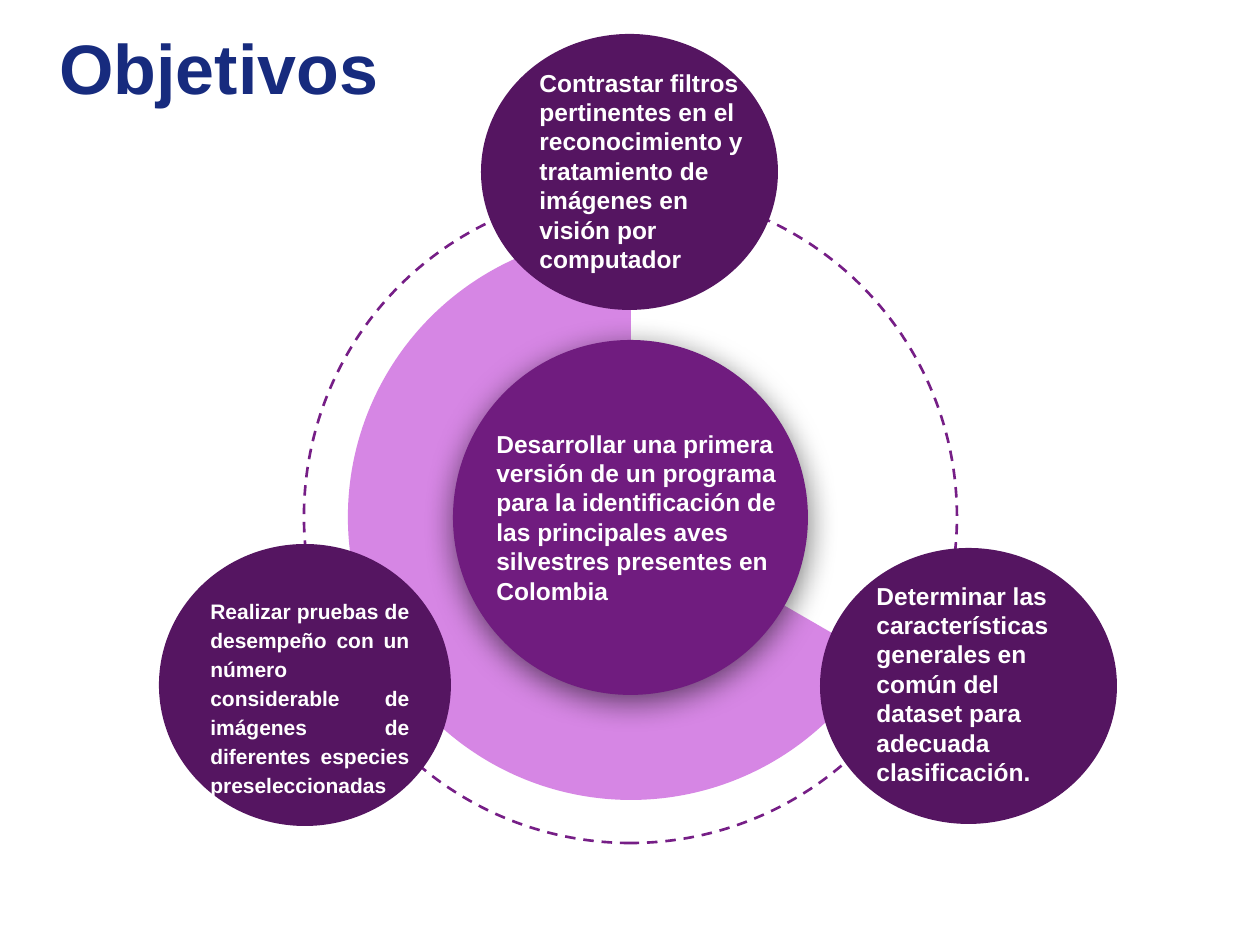
from lxml.etree import SubElement
from pptx import Presentation
from pptx.dml.color import RGBColor
from pptx.enum.dml import MSO_LINE
from pptx.enum.shapes import MSO_SHAPE
from pptx.enum.text import MSO_ANCHOR, PP_ALIGN
from pptx.oxml.ns import qn
from pptx.util import Emu, Pt

SCALE = 914400 / 126
COLORS = {
    "title": "172B7E",
    "ring": "761E86",
    "pie": "D686E4",
    "core": "701C7F",
    "goal": "551561",
    "text": "FFFFFF",
    "shade": "000000",
}
GOALS = [
    ((481, 34, 297, 276), (527, 55, 233, 233), {},
     "Contrastar filtros pertinentes en el reconocimiento y "
     "tratamiento de imágenes en visión por computador"),
    ((159, 544, 292, 282), (198, 577, 224, 238),
     {"size": 12, "anchor": MSO_ANCHOR.MIDDLE,
      "para": {"alignment": PP_ALIGN.JUSTIFY, "line_spacing": 1.15}},
     "Realizar pruebas de desempeño con un número considerable de "
     "imágenes de diferentes especies preseleccionadas"),
    ((820, 548, 297, 276), (864, 568, 233, 233), {},
     "Determinar las características generales en común del dataset "
     "para adecuada clasificación."),
]


def px(n):
    return Emu(round(n * SCALE))


def color(name):
    return RGBColor.from_string(COLORS[name])


def style(item, values):
    for name, value in values.items():
        setattr(item, name, value)


def add_form(slide, kind, box, fill=None):
    form = slide.shapes.add_shape(kind, *map(px, box))
    form.shadow.inherit = False
    form.line.fill.background()
    if fill:
        form.fill.solid()
        form.fill.fore_color.rgb = color(fill)
    else:
        form.fill.background()
    return form


def add_ring(slide, box):
    ring = add_form(slide, MSO_SHAPE.OVAL, box)
    ring.rotation = 270
    ring.line.color.rgb = color("ring")
    style(ring.line, {"width": Pt(1.5), "dash_style": MSO_LINE.DASH})


def add_pie(slide, box, start, end):
    """Draw a sector between two angles in degrees, clockwise from the right."""
    pie = add_form(slide, MSO_SHAPE.PIE, box, "pie")
    for i, angle in enumerate((start, end)):
        pie.adjustments[i] = angle * 0.6


def add_shade(form):
    """Put a soft shadow below a shape."""
    effects = form._element.spPr.find(qn("a:effectLst"))
    shade = SubElement(effects, qn("a:outerShdw"), blurRad=str(Pt(18)),
                       dist=str(Pt(4)), dir="5400000", algn="ctr",
                       rotWithShape="0")
    tint = SubElement(shade, qn("a:srgbClr"), val=COLORS["shade"])
    SubElement(tint, qn("a:alpha"), val="55000")


def add_text(slide, box, text, size=14, ink="text", anchor=MSO_ANCHOR.TOP,
             pad=12.6, para=None):
    frame = slide.shapes.add_textbox(*map(px, box)).text_frame
    style(frame, {
        "word_wrap": True, "vertical_anchor": anchor,
        "margin_left": px(12.6), "margin_right": px(12.6),
        "margin_top": px(pad), "margin_bottom": px(pad),
    })
    line = frame.paragraphs[0]
    style(line, para or {})
    run = line.add_run()
    run.text = text
    style(run.font, {"name": "Arial", "size": Pt(size), "bold": True})
    run.font.color.rgb = color(ink)


def main():
    deck = Presentation()
    style(deck, {"slide_width": px(1260), "slide_height": px(945)})
    slide = deck.slides.add_slide(deck.slide_layouts[6])

    add_ring(slide, (304, 190, 653, 653))
    add_pie(slide, (348, 234, 566, 566), 30, 270)
    add_shade(add_form(slide, MSO_SHAPE.OVAL, (453, 340, 355, 355), "core"))
    add_text(slide, (484, 416, 305, 204),
             "Desarrollar una primera versión de un programa para la "
             "identificación de las principales aves silvestres presentes "
             "en Colombia")
    for oval, box, look, text in GOALS:
        add_form(slide, MSO_SHAPE.OVAL, oval, "goal")
        add_text(slide, box, text, **look)
    add_text(slide, (47, 47, 911, 54), "Objetivos", 40, "title",
             MSO_ANCHOR.MIDDLE, 6, {"line_spacing": 0.8})
    deck.save("out.pptx")


if __name__ == "__main__":
    main()
